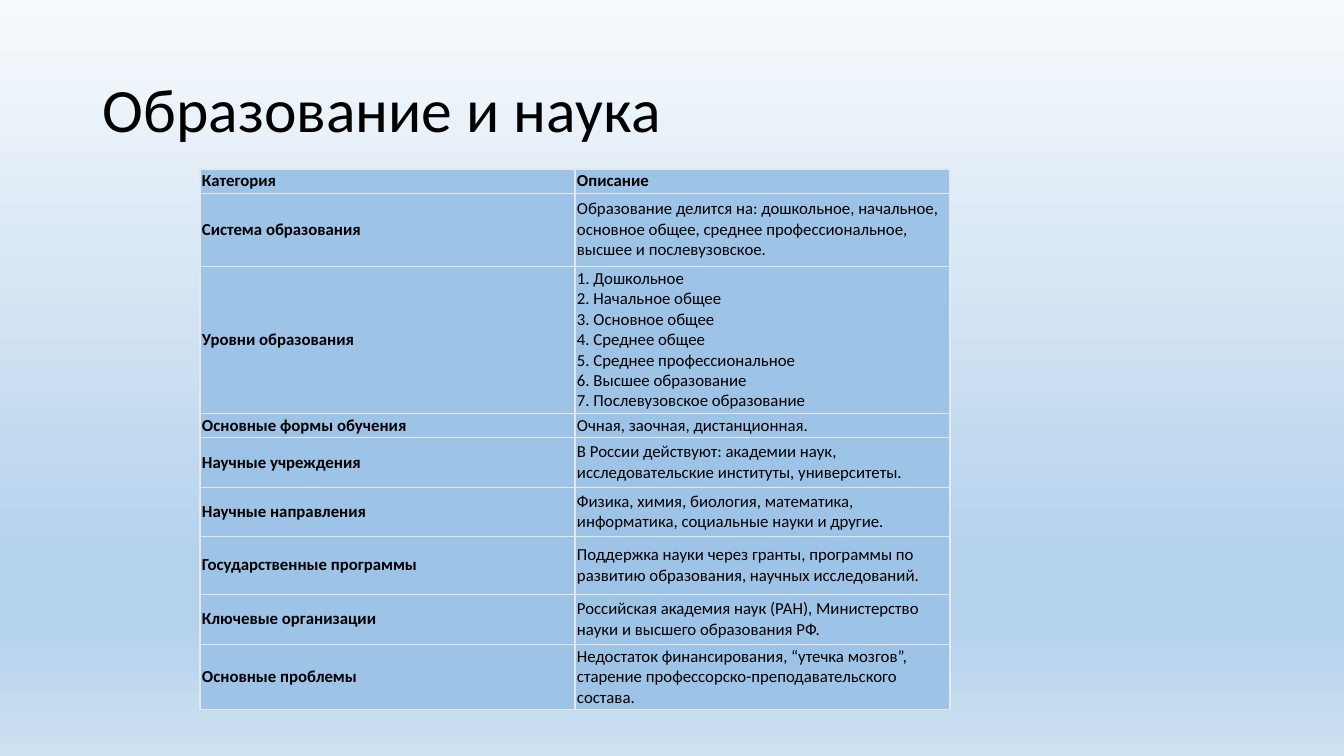
from copy import deepcopy

from pptx import Presentation
from pptx.dml.color import RGBColor
from pptx.enum.text import MSO_ANCHOR
from pptx.oxml import parse_xml
from pptx.oxml.ns import nsdecls, qn
from pptx.util import Pt

MIDDLE = MSO_ANCHOR.MIDDLE
BLACK = RGBColor(0x00, 0x00, 0x00)
CELL_BLUE = RGBColor(0x9D, 0xC3, 0xE6)
BORDER_GREY = RGBColor(0xE5, 0xE7, 0xEB)
SKY_TOP = RGBColor(0xF7, 0xFA, 0xFD)
SKY_MID = RGBColor(0xB5, 0xD2, 0xEC)
SKY_LOW = RGBColor(0xCE, 0xE1, 0xF2)
FONT = "Calibri"


def px(n):
    return round(n * 914400 / 100.8)


def set_font(p, size, bold=False):
    p.font.name = FONT
    p.font.size = Pt(size)
    p.font.bold = bold
    p.font.color.rgb = BLACK


prs = Presentation()
prs.slide_width, prs.slide_height = px(1344), px(756)
s = prs.slides.add_slide(prs.slide_layouts[6])

# Background: the default gradient has two stops, four are needed
fill = s.background.fill
fill.gradient()
fill.gradient_angle = 270
gs_list = s._element.find(".//" + qn("a:gsLst"))
for gs in list(gs_list):
    gs_list.append(deepcopy(gs))
sky = [(0, SKY_TOP), (0.74, SKY_MID), (0.83, SKY_MID), (1, SKY_LOW)]
for stop, (position, color) in zip(fill.gradient_stops, sky):
    stop.position = position
    stop.color.rgb = color

# Title
tf = s.shapes.add_textbox(px(93), px(40), px(1159), px(146)).text_frame
tf.word_wrap = True
tf.vertical_anchor = MIDDLE
p = tf.paragraphs[0]
p.text = "Образование и наука"
p.line_spacing = 0.9
set_font(p, 44)

# Table: height in px, category, description
LEVELS = ["Дошкольное", "Начальное общее", "Основное общее", "Среднее общее",
          "Среднее профессиональное", "Высшее образование",
          "Послевузовское образование"]
levels_text = "\v".join(f"{i}. {level}" for i, level in enumerate(LEVELS, 1))
ROWS = [
    (24, "Категория", "Описание"),
    (73, "Система образования",
     "Образование делится на: дошкольное, начальное, основное общее, "
     "среднее профессиональное, высшее и послевузовское."),
    (147, "Уровни образования", levels_text),
    (24, "Основные формы обучения", "Очная, заочная, дистанционная."),
    (50, "Научные учреждения",
     "В России действуют: академии наук, исследовательские институты, "
     "университеты."),
    (49, "Научные направления",
     "Физика, химия, биология, математика, информатика, социальные науки "
     "и другие."),
    (58, "Государственные программы",
     "Поддержка науки через гранты, программы по развитию образования, "
     "научных исследований."),
    (50, "Ключевые организации",
     "Российская академия наук (РАН), Министерство науки и высшего "
     "образования РФ."),
    (65, "Основные проблемы",
     "Недостаток финансирования, “утечка мозгов”, старение "
     "профессорско-преподавательского состава."),
]
table_height = sum(height for height, *_ in ROWS)
table = s.shapes.add_table(len(ROWS), 2, px(200), px(169),
                           px(750), px(table_height)).table
table.first_row = False
table.horz_banding = False

for i, (height, *texts) in enumerate(ROWS):
    table.rows[i].height = px(height)
    for j, text in enumerate(texts):
        cell = table.cell(i, j)
        cell.vertical_anchor = MIDDLE
        cell.margin_left = cell.margin_right = px(2)
        cell.margin_top = cell.margin_bottom = px(2)
        p = cell.text_frame.paragraphs[0]
        p.text = text
        set_font(p, 12, bold=i == 0 or j == 0)
        tcPr = cell._tc.get_or_add_tcPr()
        for side in ("lnL", "lnR", "lnT", "lnB"):
            tcPr.append(parse_xml(
                f'<a:{side} {nsdecls("a")} w="{Pt(1)}"><a:solidFill>'
                f'<a:srgbClr val="{BORDER_GREY}"/></a:solidFill></a:{side}>'))
        cell.fill.solid()
        cell.fill.fore_color.rgb = CELL_BLUE

prs.save("out.pptx")
